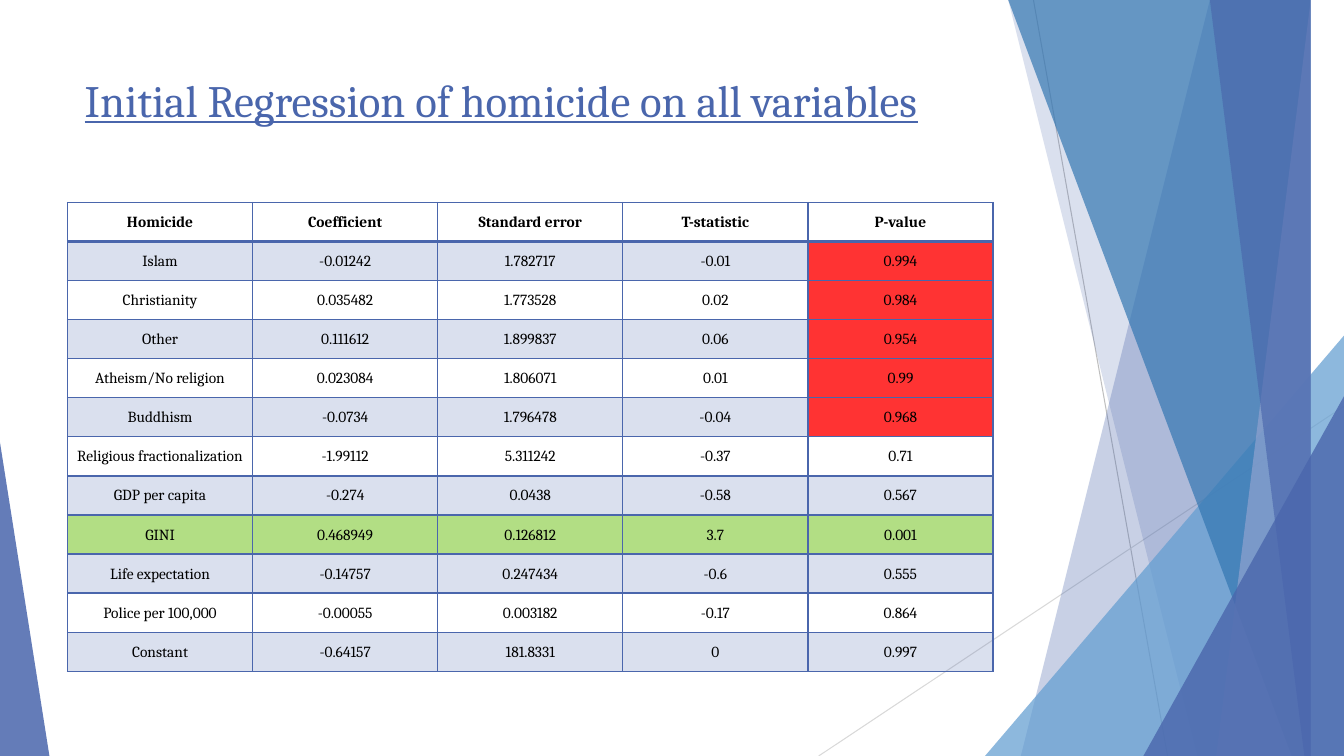
from lxml import etree
from pptx import Presentation
from pptx.dml.color import RGBColor
from pptx.enum.shapes import MSO_CONNECTOR, MSO_SHAPE
from pptx.enum.text import MSO_ANCHOR, PP_ALIGN
from pptx.oxml.ns import qn
from pptx.util import Inches, Pt

STRAIGHT = MSO_CONNECTOR.STRAIGHT
TRIANGLE = MSO_SHAPE.ISOSCELES_TRIANGLE
TOP, MIDDLE = MSO_ANCHOR.TOP, MSO_ANCHOR.MIDDLE
LEFT, CENTER = PP_ALIGN.LEFT, PP_ALIGN.CENTER

BLUE = RGBColor(0x4A, 0x66, 0xAC)
SKY = RGBColor(0x62, 0x9D, 0xD1)
DEEP = RGBColor(0x34, 0x77, 0xB2)
PALE = RGBColor(0x90, 0xA2, 0xCF)
RED = RGBColor(0xFF, 0x00, 0x00)
GREEN = RGBColor(0x92, 0xD0, 0x50)
BLACK = RGBColor(0x00, 0x00, 0x00)
GRAY = RGBColor(0xBF, 0xBF, 0xBF)
LIGHT_GRAY = RGBColor(0xD9, 0xD9, 0xD9)
FONT = "Cambria"
WIDTH, HEIGHT = 13.33, 7.5

REGRESSION = [
    ("Homicide", "Coefficient", "Standard error", "T-statistic", "P-value"),
    ("Islam", "-0.01242", "1.782717", "-0.01", "0.994"),
    ("Christianity", "0.035482", "1.773528", "0.02", "0.984"),
    ("Other", "0.111612", "1.899837", "0.06", "0.954"),
    ("Atheism/No religion", "0.023084", "1.806071", "0.01", "0.99"),
    ("Buddhism", "-0.0734", "1.796478", "-0.04", "0.968"),
    ("Religious fractionalization", "-1.99112", "5.311242", "-0.37", "0.71"),
    ("GDP per capita", "-0.274", "0.0438", "-0.58", "0.567"),
    ("GINI", "0.468949", "0.126812", "3.7", "0.001"),
    ("Life expectation", "-0.14757", "0.247434", "-0.6", "0.555"),
    ("Police per 100,000", "-0.00055", "0.003182", "-0.17", "0.864"),
    ("Constant", "-0.64157", "181.8331", "0", "0.997"),
]
INSIGNIFICANT = {"Islam", "Christianity", "Other", "Atheism/No religion", "Buddhism"}
SIGNIFICANT = {"GINI"}


def write(frame, text, size, color, align=LEFT, bold=False, underline=False):
    paragraph = frame.paragraphs[0]
    paragraph.alignment = align
    run = paragraph.add_run()
    run.text = text
    font = run.font
    font.name, font.size, font.bold, font.underline = FONT, Pt(size), bold, underline
    font.color.rgb = color


def tint(fill, properties, color, opacity):
    """Solid fill with an opacity in percent."""
    fill.solid()
    fill.fore_color.rgb = color
    rgb = properties.find(qn("a:solidFill")).find(qn("a:srgbClr"))
    etree.SubElement(rgb, qn("a:alpha"), val=str(opacity * 1000))


def finish(shape, color, opacity):
    shape.shadow.inherit = False
    shape.line.fill.background()
    tint(shape.fill, shape.element.spPr, color, opacity)


def add_hairline(slide, start, end, color):
    line = slide.shapes.add_connector(STRAIGHT, *map(Inches, start + end))
    line.line.color.rgb = color
    line.line.width = Pt(0.75)
    etree.SubElement(line.element.spPr, qn("a:effectLst"))


def add_band(slide, box, top_x, bottom_x, color, opacity):
    """Band from a slanted left edge to the right side of the box."""
    left, top, width, height = box
    right, bottom = left + width, top + height
    outline = slide.shapes.build_freeform(left + top_x, top, scale=Inches(1))
    outline.add_line_segments([(right, top), (right, bottom), (left + bottom_x, bottom)])
    finish(outline.convert_to_shape(), color, opacity)


def add_corner(slide, box, apex, color, opacity):
    """Right triangle whose apex is at the left (0) or right (1)."""
    corner = slide.shapes.add_shape(TRIANGLE, *map(Inches, box))
    corner.adjustments[0] = apex
    finish(corner, color, opacity)


def add_facets(slide, box):
    left, top, width, height = box
    right, bottom = left + width, top + height

    def right_corner(w, h, color, opacity):
        add_corner(slide, (right - w, bottom - h, w, h), 1, color, opacity)

    add_hairline(slide, (left + 0.48, top), (left + 1.81, bottom), GRAY)
    add_hairline(slide, (right, top + 4.03), (left - 1.65, bottom), LIGHT_GRAY)
    add_band(slide, box, 2.51, 0.27, BLUE, 30)
    add_band(slide, box, 0.73, 2.06, BLUE, 20)
    right_corner(3.56, 4.17, SKY, 72)
    add_band(slide, box, 0.44, 3.14, DEEP, 70)
    add_band(slide, box, 3.26, 2.15, PALE, 70)
    add_band(slide, box, 2.19, 3.41, BLUE, 65)
    right_corner(1.99, 3.57, BLUE, 80)


def add_title(slide, box):
    title = slide.shapes.title
    title.left, title.top, title.width, title.height = map(Inches, box)
    title.text_frame.word_wrap = True
    title.text_frame.vertical_anchor = TOP
    write(title.text_frame, "Initial Regression of homicide on all variables",
          size=32, color=BLUE, underline=True)


def set_borders(cell, **widths):
    properties = cell._tc.get_or_add_tcPr()
    for index, side in enumerate("LRTB"):
        line = etree.Element(qn("a:ln" + side), w=str(Pt(widths.get(side, 1))))
        solid = etree.SubElement(line, qn("a:solidFill"))
        etree.SubElement(solid, qn("a:srgbClr"), val=str(BLUE))
        properties.insert(index, line)


def fill_cell(cell, variable, row, is_p_value):
    properties = cell._tc.get_or_add_tcPr()
    if variable in SIGNIFICANT:
        tint(cell.fill, properties, GREEN, 70)
    elif variable in INSIGNIFICANT and is_p_value:
        tint(cell.fill, properties, RED, 80)
    elif row % 2:
        tint(cell.fill, properties, BLUE, 20)
    else:
        cell.fill.background()


def add_regression_table(slide, box):
    row_count, column_count = len(REGRESSION), len(REGRESSION[0])
    table = slide.shapes.add_table(row_count, column_count, *map(Inches, box)).table
    table.first_row = table.horz_banding = False
    for row, values in enumerate(REGRESSION):
        for column, value in enumerate(values):
            cell = table.cell(row, column)
            cell.margin_left = cell.margin_right = cell.margin_top = Inches(0.01)
            cell.margin_bottom = 0
            cell.vertical_anchor = MIDDLE
            fill_cell(cell, values[0], row, column == column_count - 1)
            set_borders(cell, T=2 if row == 1 else 1, B=2 if row == 0 else 1)
            write(cell.text_frame, value, size=11, color=BLACK, align=CENTER, bold=row == 0)


prs = Presentation()
prs.slide_width, prs.slide_height = Inches(WIDTH), Inches(HEIGHT)
slide = prs.slides.add_slide(prs.slide_layouts[5])

# Background facets
add_facets(slide, (9.77, 0, 3.56, HEIGHT))
add_corner(slide, (0, 4.39, 0.49, 3.11), 0, BLUE, 85)

# Content
add_title(slide, (0.74, 0.67, 9.4, 1.44))
add_regression_table(slide, (0.67, 2.01, 9.18, 4.65))

prs.save("out.pptx")
